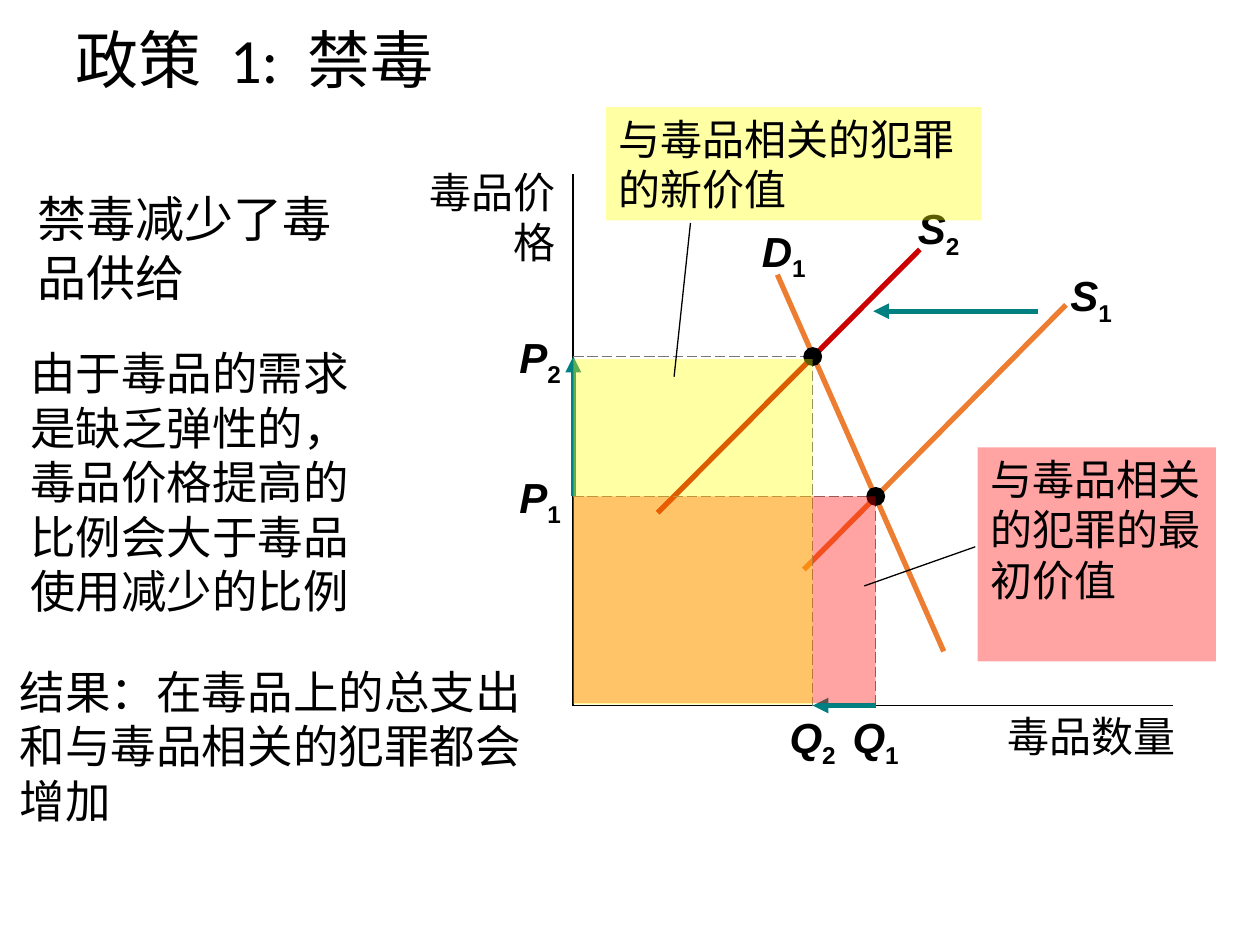
from lxml import etree
from pptx import Presentation
from pptx.dml.color import RGBColor
from pptx.enum.dml import MSO_LINE
from pptx.enum.shapes import MSO_CONNECTOR, MSO_SHAPE
from pptx.enum.text import MSO_ANCHOR, MSO_AUTO_SIZE, PP_ALIGN
from pptx.oxml.ns import qn
from pptx.util import Inches, Pt

COLORS = {
    "black": "000000", "orange": "ED7D31", "dark_red": "CC0000",
    "gray": "777777", "teal": "008080", "red": "FF0000", "yellow": "FFFF00",
}
LEFT, CENTER, RIGHT = PP_ALIGN.LEFT, PP_ALIGN.CENTER, PP_ALIGN.RIGHT

TITLE = "政策  1:  禁毒"

# Chart geometry in inches: axes origin and the two equilibria
ORIGIN_X, ORIGIN_Y = 4.55, 5.6
Q1_X, P1_Y = 6.95, 3.94
Q2_X, P2_Y = 6.45, 2.83
DOT_SIZE = 0.15

CURVES = [  # start, end, colour
    ((6.17, 2.18), (7.49, 5.17), "orange"),
    ((6.38, 4.52), (8.46, 2.42), "orange"),
    ((5.22, 4.07), (7.3, 1.98), "dark_red"),
]
AXES = [
    ((ORIGIN_X, 1.38), (ORIGIN_X, ORIGIN_Y)),
    ((ORIGIN_X, ORIGIN_Y), (9.31, ORIGIN_Y)),
]
ARROWS = [
    ((8.24, 2.47), (6.93, 2.47)),
    ((Q1_X, ORIGIN_Y), (Q2_X, ORIGIN_Y)),
    ((ORIGIN_X, P1_Y), (ORIGIN_X, P2_Y)),
]
SYMBOLS = [  # letter, subscript, left, top, width, alignment
    ("D", "1", 5.86, 1.74, 0.72, CENTER),
    ("S", "1", 8.35, 2.09, 0.62, CENTER),
    ("S", "2", 7.09, 1.56, 0.72, CENTER),
    ("P", "1", 3.88, 3.69, 0.67, RIGHT),
    ("P", "2", 3.9, 2.58, 0.65, RIGHT),
    ("Q", "1", 6.65, 5.6, 0.6, CENTER),
    ("Q", "2", 6.13, 5.6, 0.64, CENTER),
]
TEXTS = [  # text, box, size, alignment
    ("毒品价格", (3.03, 1.27, 1.48, 0.9), 24, RIGHT),
    ("毒品数量", (7.81, 5.59, 1.62, 0.5), 24, RIGHT),
    ("禁毒减少了毒品供给", (0.2, 1.45, 2.67, 1.03), 28, LEFT),
    ("由于毒品的需求是缺乏弹性的，毒品价格提高的比例会大于毒品使用减少的比例",
     (0.14, 2.69, 3.07, 2.7), 26, LEFT),
    ("结果：在毒品上的总支出和与毒品相关的犯罪都会增加",
     (0.06, 5.22, 4.48, 1.4), 26, LEFT),
]
VALUES = [  # colour, area box, callout text, callout box, pointer
    ("red", (ORIGIN_X, P1_Y, Q1_X - ORIGIN_X, 1.64), "与毒品相关的犯罪的最初价值",
     (7.76, 3.55, 1.89, 1.7), ((6.86, 4.65), (7.74, 4.34))),
    ("yellow", (ORIGIN_X, 2.85, Q2_X - ORIGIN_X, 2.74), "与毒品相关的犯罪的新价值",
     (4.81, 0.85, 2.98, 0.9), ((5.48, 1.77), (5.35, 2.99))),
]


def color(name):
    return RGBColor.from_string(COLORS[name])


def add_line(slide, start, end, color_name, width, dashed=False, arrow=False):
    ends = [Inches(value) for value in (*start, *end)]
    line = slide.shapes.add_connector(MSO_CONNECTOR.STRAIGHT, *ends)
    line.line.color.rgb = color(color_name)
    line.line.width = Pt(width)
    if dashed:
        line.line.dash_style = MSO_LINE.LONG_DASH
    if arrow:
        outline = line.line._get_or_add_ln()
        etree.SubElement(outline, qn("a:tailEnd"), type="triangle")
    etree.SubElement(line._element.spPr, qn("a:effectLst"))


def add_filled(slide, preset, box, color_name, opacity=None):
    shape = slide.shapes.add_shape(preset, *map(Inches, box))
    shape.shadow.inherit = False
    shape.fill.solid()
    shape.fill.fore_color.rgb = color(color_name)
    shape.line.fill.background()
    if opacity is not None:
        fill = shape._element.spPr.find(qn("a:solidFill"))
        etree.SubElement(fill[0], qn("a:alpha"), val=str(opacity * 1000))
    return shape


def write(shape, text, size, alignment):
    frame = shape.text_frame
    frame.word_wrap = True
    frame.vertical_anchor = MSO_ANCHOR.TOP
    paragraph = frame.paragraphs[0]
    paragraph.text = text
    paragraph.alignment = alignment
    paragraph.font.name = "Arial"
    paragraph.font.size = Pt(size)
    paragraph.font.color.rgb = color("black")
    return paragraph


def add_text(slide, text, box, size, alignment):
    return write(slide.shapes.add_textbox(*map(Inches, box)), text, size, alignment)


def add_symbol(slide, letter, subscript, left, top, width, alignment):
    paragraph = add_text(slide, letter, (left, top, width, 0.5), 24, alignment)
    paragraph.font.bold = True
    paragraph.runs[0].font.italic = True
    run = paragraph.add_run()
    run.text = subscript
    run._r.get_or_add_rPr().set("baseline", "-25000")


def add_title(slide):
    title = slide.shapes.title
    title.left, title.top, title.width, title.height = map(Inches, (0.5, 0.15, 9, 0.71))
    frame = title.text_frame
    frame.auto_size = MSO_AUTO_SIZE.NONE
    frame.vertical_anchor = MSO_ANCHOR.MIDDLE
    paragraph = frame.paragraphs[0]
    paragraph.text = TITLE
    paragraph.alignment = LEFT
    paragraph.line_spacing = 0.9
    paragraph.font.name = "Calibri"
    paragraph.font.size = Pt(36)
    paragraph.font.color.rgb = color("black")


def add_chart_lines(slide):
    for start, end, color_name in CURVES:
        add_line(slide, start, end, color_name, 3)
    for start, end in AXES:
        add_line(slide, start, end, "black", 1)
    for x, y in ((Q1_X, P1_Y), (Q2_X, P2_Y)):
        add_line(slide, (ORIGIN_X, y), (x, y), "gray", 0.75, dashed=True)
        add_line(slide, (x, y), (x, ORIGIN_Y), "gray", 0.75, dashed=True)
        dot = (x - DOT_SIZE / 2, y - DOT_SIZE / 2, DOT_SIZE, DOT_SIZE)
        add_filled(slide, MSO_SHAPE.OVAL, dot, "black")
    for start, end in ARROWS:
        add_line(slide, start, end, "teal", 3, arrow=True)


def main():
    presentation = Presentation()
    presentation.slide_width, presentation.slide_height = Inches(10), Inches(7.5)
    slide = presentation.slides.add_slide(presentation.slide_layouts[5])
    add_title(slide)
    add_chart_lines(slide)
    for symbol in SYMBOLS:
        add_symbol(slide, *symbol)
    for text in TEXTS:
        add_text(slide, *text)
    for color_name, area, text, box, pointer in VALUES:
        add_filled(slide, MSO_SHAPE.RECTANGLE, area, color_name, opacity=36)
        callout = add_filled(slide, MSO_SHAPE.RECTANGLE, box, color_name, opacity=36)
        write(callout, text, 24, LEFT)
        add_line(slide, *pointer, "black", 0.75)
    presentation.save("out.pptx")


if __name__ == "__main__":
    main()
